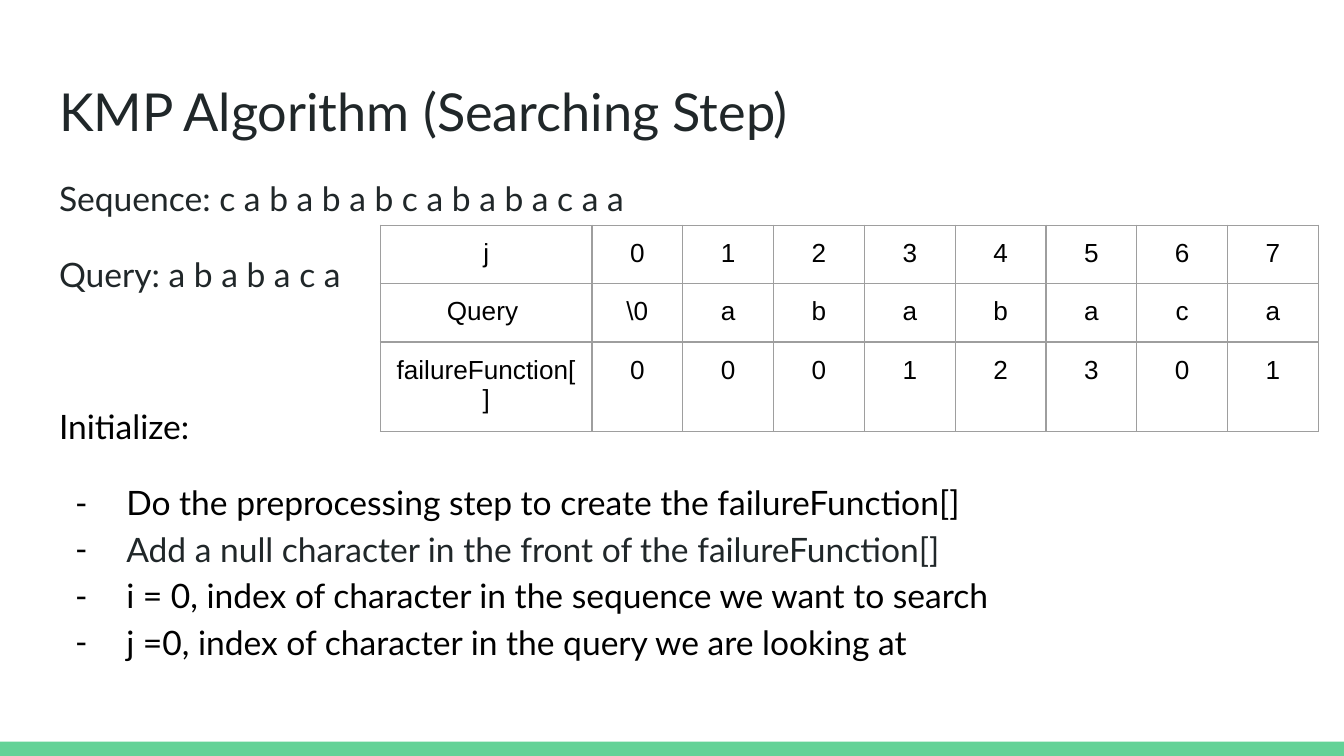
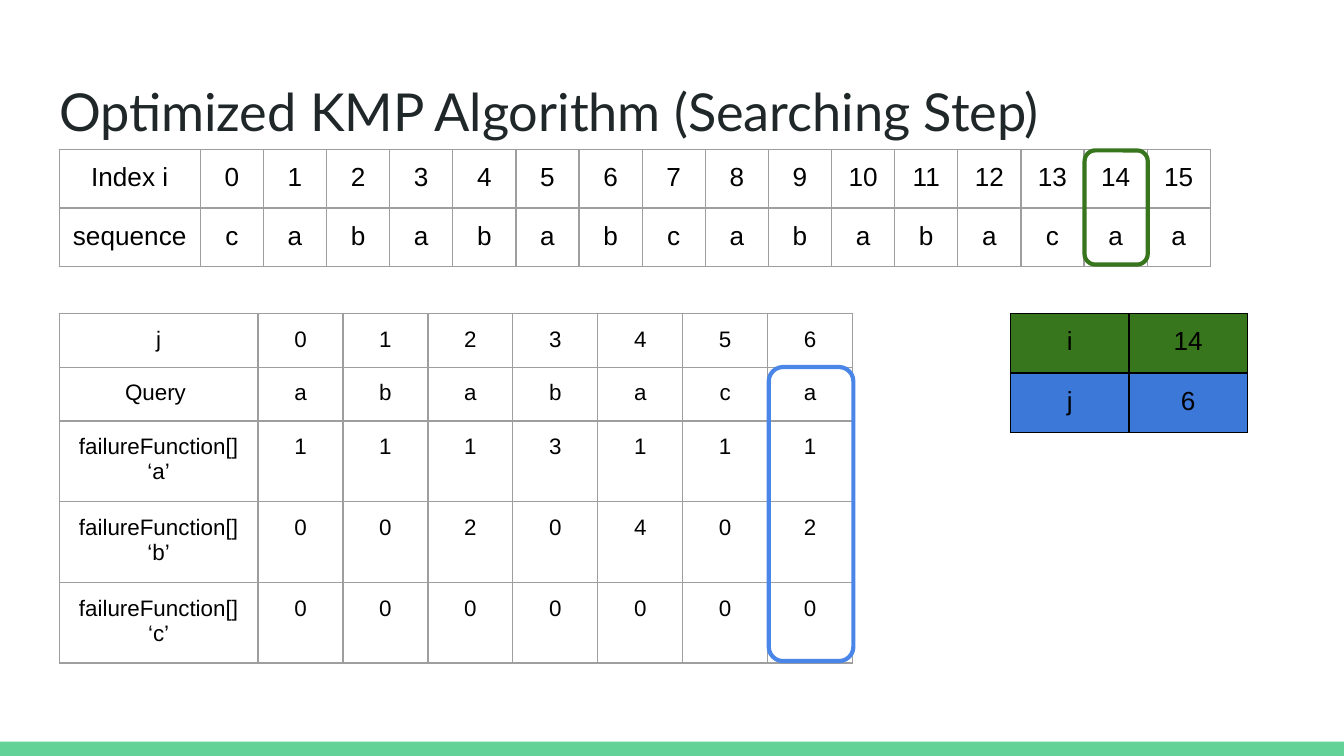
import pptx
import pptx.dml.color
import pptx.enum.shapes
import pptx.enum.text
import pptx.oxml
import pptx.oxml.ns
import pptx.util

RGBColor = pptx.dml.color.RGBColor
INK = RGBColor(0x20, 0x27, 0x29)
BLACK = RGBColor(0, 0, 0)
MINT = RGBColor(0x63, 0xD2, 0x97)
GRID = RGBColor(0x9E, 0x9E, 0x9E)
GREEN = RGBColor(0x38, 0x76, 0x1D)
BLUE = RGBColor(0x3C, 0x78, 0xD8)
RING_BLUE = RGBColor(0x4A, 0x86, 0xE8)

WIDTH = pptx.util.Inches(10)
HEIGHT = pptx.util.Inches(5.625)
INSET = pptx.util.Inches(0.1)
MARGINS = dict.fromkeys(
    ("margin_left", "margin_right", "margin_top", "margin_bottom"), INSET)
CENTER = pptx.enum.text.PP_ALIGN.CENTER
SHAPES = pptx.enum.shapes.MSO_SHAPE


def across(share):
    """Length for a percentage of the slide's width."""
    return round(WIDTH * share / 100)


def down(share):
    """Length for a percentage of the slide's height."""
    return round(HEIGHT * share / 100)


def box(x, y, w, h):
    return across(x), down(y), across(w), down(h)


def set_attrs(obj, values):
    for name, value in values.items():
        setattr(obj, name, value)


def add_xml(parent, xml):
    ns = pptx.oxml.ns.nsdecls("a")
    parent.append(pptx.oxml.parse_xml(xml.replace(" ", f" {ns} ", 1)))


def write(p, text, size, font, color):
    r = p.add_run()
    r.text = text
    set_attrs(r.font, {"size": pptx.util.Pt(size), "name": font})
    r.font.color.rgb = color


def add_text_frame(s, area):
    tf = s.shapes.add_textbox(*area).text_frame
    set_attrs(tf, {"word_wrap": True, **MARGINS})
    return tf


def add_slide(prs, title):
    """Blank slide with the shared title and footer band."""
    s = prs.slides.add_slide(prs.slide_layouts[6])
    sp = s.shapes.add_shape(SHAPES.RECTANGLE, *box(0, 98.1, 100, 1.9))
    sp.shadow.inherit = False
    sp.fill.solid()
    sp.fill.fore_color.rgb = MINT
    sp.line.fill.background()
    tf = add_text_frame(s, box(3.41, 8.7, 93.2, 11.2))
    write(tf.paragraphs[0], title, 28, "Lato", INK)
    return s


def add_body(s, lines):
    """Lines are (text, colour, points before, bulleted)."""
    tf = add_text_frame(s, box(3.41, 21, 93.2, 66.5))
    for i, (text, color, before, bulleted) in enumerate(lines):
        p = tf.add_paragraph() if i else tf.paragraphs[0]
        set_attrs(p, {"line_spacing": 1.15, "space_before": pptx.util.Pt(before)})
        if bulleted:
            pPr = p._p.get_or_add_pPr()
            pPr.set("marL", str(pptx.util.Inches(0.5)))
            pPr.set("indent", str(pptx.util.Inches(-0.38)))
            add_xml(pPr, f'<a:buClr ><a:srgbClr val="{BLACK}"/></a:buClr>')
            add_xml(pPr, '<a:buFont typeface="Lato"/>')
            add_xml(pPr, '<a:buChar char="-"/>')
        write(p, text, 18, "Lato", color)


def add_borders(cell, color):
    for side in "LRTB":
        add_xml(cell._tc.get_or_add_tcPr(),
                f'<a:ln{side} w="{pptx.util.Pt(0.75)}"><a:solidFill>'
                f'<a:srgbClr val="{color}"/></a:solidFill></a:ln{side}>')


def add_grid(s, x, y, w, head, heights, rows, size=14, border=GRID, fills=None):
    """Table with a label column `head` wide and equal columns after it.

    Heights are minimums: rows grow with their text inside a roomy frame.
    """
    area = box(x, y, w, sum(heights))
    frame = s.shapes.add_table(len(rows), len(rows[0]), *area)
    table = frame.table
    set_attrs(table, {"first_row": False, "horz_banding": False})
    step = (w - head) / (len(rows[0]) - 1)
    for j, column in enumerate(table.columns):
        column.width = across(step if j else head)
    for i, row in enumerate(rows):
        table.rows[i].height = down(heights[i])
        for j, text in enumerate(row):
            cell = table.cell(i, j)
            set_attrs(cell, MARGINS)
            add_borders(cell, border)
            if fills:
                cell.fill.solid()
                cell.fill.fore_color.rgb = fills[i]
            else:
                cell.fill.background()
            p = cell.text_frame.paragraphs[0]
            p.alignment = CENTER
            write(p, str(text), size, "Arial", BLACK)
    set_attrs(frame, {"width": across(32.8), "height": down(58.3)})


def add_ring(s, x, y, w, h, color):
    sp = s.shapes.add_shape(SHAPES.ROUNDED_RECTANGLE, *box(x, y, w, h))
    sp.shadow.inherit = False
    sp.adjustments[0] = 0.17
    sp.fill.background()
    sp.line.color.rgb = color
    sp.line.width = pptx.util.Pt(2.25)


def add_setup_slide(prs):
    s = add_slide(prs, "KMP Algorithm (Searching Step)")
    add_body(s, [
        ("Sequence: c a b a b a b c a b a b a c a a", INK, 0, False),
        ("Query: a b a b a c a", INK, 16, False),
        ("Initialize:", BLACK, 56.5, False),
        ("Do the preprocessing step to create the failureFunction[]", BLACK, 16, True),
        ("Add a null character in the front of the failureFunction[]", INK, 0, True),
        ("i = 0, index of character in the sequence we want to search", BLACK, 0, True),
        ("j =0, index of character in the query we are looking at", BLACK, 0, True),
    ])
    add_grid(s, 28.3, 29.8, 69.8, 15.75, [6.6, 7.65, 10], [
        ["j", *range(8)],
        ["Query ", "\\0", *"ababaca"],
        ["failureFunction[]", *"00012301"],
    ])


def add_search_slide(prs):
    s = add_slide(prs, "Optimized KMP Algorithm (Searching Step)")
    left, top = 4.4, 41.45
    add_grid(s, left, 19.8, 85.7, 10.5, [7.4, 7.4], [
        ["Index i", *range(16)],
        ["sequence", *"cabababcababacaa"],
    ])
    add_grid(s, 75.2, top, 17.6, 8.8, [7.9, 7.9], [["i", 14], ["j", 6]],
             border=BLACK, fills=[GREEN, BLUE])
    add_grid(s, left, top, 59.05, 14.8, [5.5] * 2 + [8.5] * 3, [
        ["j", *range(7)],
        ["Query ", *"ababaca"],
        ["failureFunction[] ‘a’", *"1113111"],
        ["failureFunction[] ‘b’", *"0020402"],
        ["failureFunction[] ‘c’", *"0000000"],
    ], size=12)
    add_ring(s, 80.7, 19.9, 4.7, 15.1, GREEN)
    add_ring(s, 57.2, 48.55, 6.3, 38.9, RING_BLUE)


def main():
    prs = pptx.Presentation()
    set_attrs(prs, {"slide_width": WIDTH, "slide_height": HEIGHT})
    add_setup_slide(prs)
    add_search_slide(prs)
    prs.save("out.pptx")


if __name__ == "__main__":
    main()
